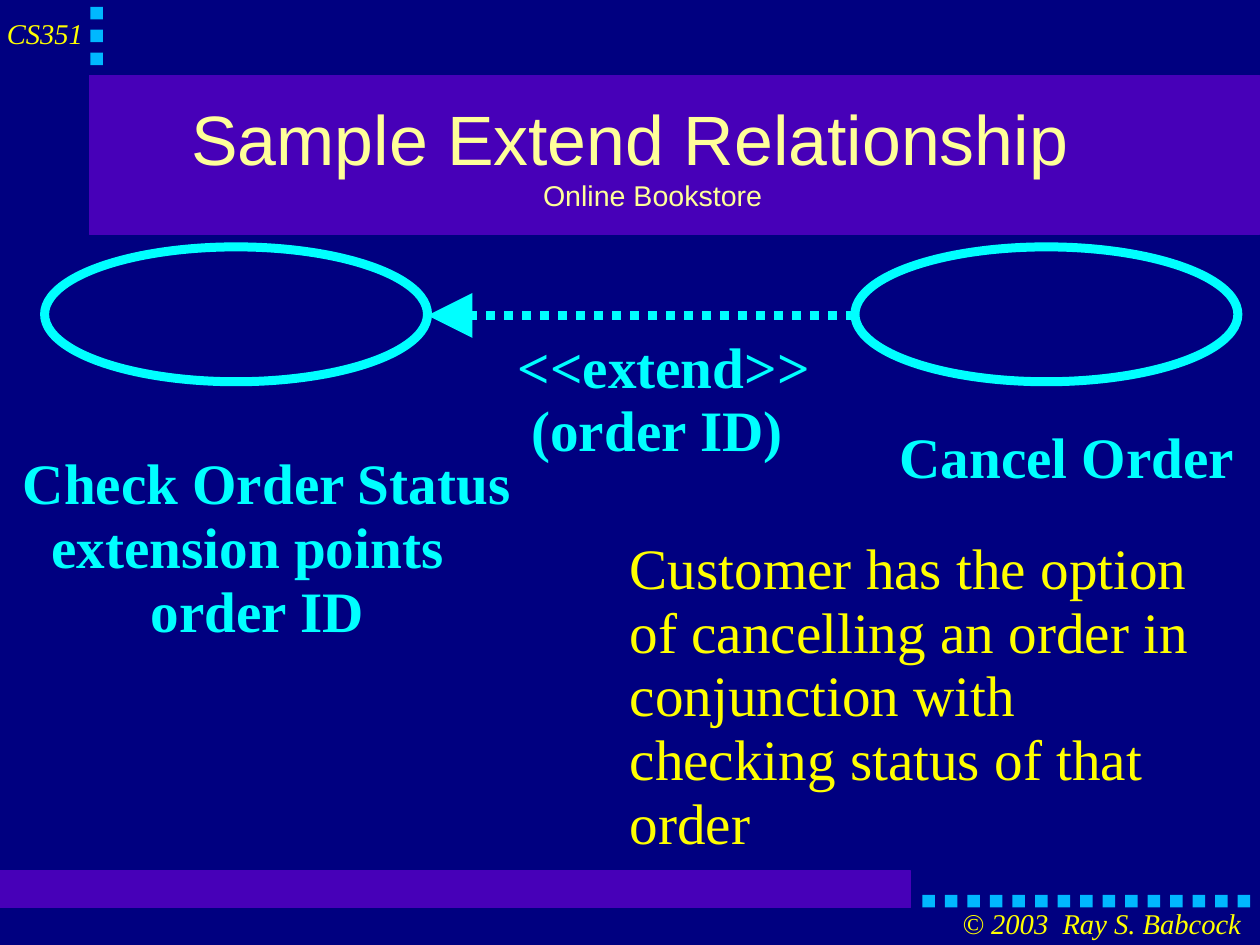
import pptx
import pptx.dml.color
import pptx.enum.dml
import pptx.enum.shapes
import pptx.enum.text
import pptx.oxml
import pptx.oxml.ns
import pptx.util

Inches = pptx.util.Inches
Pt = pptx.util.Pt
SHAPE = pptx.enum.shapes.MSO_SHAPE

# The page is metric: 28 by 21 centimetres
PAGE_WIDTH = Inches(28 / 2.54)
PAGE_HEIGHT = Inches(21 / 2.54)

COLORS = {
    "background": "000080",
    "band": "4700B8",
    "square": "00B8FF",
    "title": "FFFF99",
    "diagram": "00FFFF",
    "note": "FFFF00",
}

TITLE = "Sample Extend Relationship\vOnline Bookstore"
TITLE_SIZES = [44, 18]
TITLE_INDENT = 0.39
LINE_SPACING = 0.93

BANDS = [(0.78, 0.66, 10.24, 1.39), (0, 7.62, 7.97, 0.32)]

SQUARE = 0.11
COLUMN_PITCH = 0.2
ROW_PITCH = 0.197
SQUARES = [(0.79, 0.06 + COLUMN_PITCH * i) for i in range(3)]
SQUARES += [(8.07 + ROW_PITCH * i, 7.83) for i in range(15)]

USE_CASES = [(0.39, 2.16, 3.35, 1.18), (7.48, 2.16, 3.35, 1.18)]
ARROW_Y = 2.76
STROKE = 5.67

# Place, lines as (text, left indent), size, colour, bold, italic
TEXTS = [
    ((0.06, 0.17, 0.73, 0.28), [("CS351", 0)], 18, "note", False, True),
    ((8.42, 7.95, 2.5, 0.28), [("© 2003  Ray S. Babcock", 0)],
     18, "note", False, True),
    ((0.2, 3.97, 4.33, 1.67),
     [("Check Order Status", 0), ("extension points", 0.25), ("order ID", 1.12)],
     36, "diagram", True, False),
    ((7.87, 3.74, 2.95, 0.56), [("Cancel Order", 0)],
     36, "diagram", True, False),
    ((4.53, 2.95, 2.76, 1.12), [("<<extend>>", 0), ("(order ID)", 0.12)],
     36, "diagram", True, False),
    ((5.51, 4.71, 4.92, 2.79),
     [("Customer has the option of cancelling an order in conjunction "
       "with checking status of that order", 0)],
     36, "note", False, False),
]


def rgb(name):
    return pptx.dml.color.RGBColor.from_string(COLORS[name])


def inches(place):
    return [Inches(length) for length in place]


def clear_margins(frame):
    frame.word_wrap = True
    frame.margin_left = frame.margin_right = 0
    frame.margin_top = frame.margin_bottom = 0


def set_layout(para, left, first=0):
    """Set the line spacing and the indents of a paragraph."""
    para.line_spacing = LINE_SPACING
    properties = para._p.get_or_add_pPr()
    properties.set("marL", str(Inches(left)))
    properties.set("indent", str(Inches(first)))


def style(font, name, size, color, bold=False, italic=False):
    font.name = name
    font.size = Pt(size)
    font.bold = bold
    font.italic = italic
    font.color.rgb = rgb(color)


def add_block(page, kind, place, fill=None, line=None, width=0.75):
    block = page.shapes.add_shape(kind, *inches(place))
    block.shadow.inherit = False
    if fill:
        block.fill.solid()
        block.fill.fore_color.rgb = rgb(fill)
    else:
        block.fill.background()
    if line:
        block.line.color.rgb = rgb(line)
        block.line.width = Pt(width)
    else:
        block.line.fill.background()
    return block


def add_text(page, place, lines, size, color, bold, italic):
    box = page.shapes.add_textbox(*inches(place))
    clear_margins(box.text_frame)
    box.text_frame.text = "\n".join(text for text, indent in lines)
    for para, (text, indent) in zip(box.text_frame.paragraphs, lines):
        set_layout(para, indent)
        for span in para.runs:
            style(span.font, "Times New Roman", size, color, bold, italic)


def add_title(page, band):
    """Fill the title placeholder and bring it in front of the band."""
    title = page.shapes.title
    band.element.addnext(title.element)
    title.left, title.top, title.width, title.height = inches(
        (0.81, 0.69, 9.41, 1.38))
    frame = title.text_frame
    frame.text = TITLE
    clear_margins(frame)
    frame.auto_size = pptx.enum.text.MSO_AUTO_SIZE.NONE
    frame.vertical_anchor = pptx.enum.text.MSO_ANCHOR.MIDDLE
    para = frame.paragraphs[0]
    para.alignment = pptx.enum.text.PP_ALIGN.CENTER
    set_layout(para, TITLE_INDENT, -TITLE_INDENT)
    for span, size in zip(para.runs, TITLE_SIZES):
        style(span.font, "Arial", size, "title")


def add_extend_arrow(page):
    base, extension = USE_CASES
    arrow = page.shapes.add_connector(
        pptx.enum.shapes.MSO_CONNECTOR.STRAIGHT,
        *inches((extension[0], ARROW_Y, base[0] + base[2], ARROW_Y)))
    arrow.line.color.rgb = rgb("diagram")
    arrow.line.width = Pt(STROKE)
    arrow.line.dash_style = pptx.enum.dml.MSO_LINE.ROUND_DOT
    namespace = pptx.oxml.ns.nsdecls("a")
    arrow.line._get_or_add_ln().append(pptx.oxml.parse_xml(
        f'<a:tailEnd {namespace} type="triangle" w="lg" len="lg"/>'))
    arrow.element.spPr.append(pptx.oxml.parse_xml(
        f'<a:effectLst {namespace}/>'))


def main():
    deck = pptx.Presentation()
    deck.slide_width = PAGE_WIDTH
    deck.slide_height = PAGE_HEIGHT
    page = deck.slides.add_slide(deck.slide_layouts[5])
    page.background.fill.solid()
    page.background.fill.fore_color.rgb = rgb("background")

    bands = [add_block(page, SHAPE.RECTANGLE, place, "band", "band")
             for place in BANDS]
    for left, top in SQUARES:
        add_block(page, SHAPE.RECTANGLE, (left, top, SQUARE, SQUARE), "square")
    add_title(page, bands[-1])
    for place in USE_CASES:
        add_block(page, SHAPE.OVAL, place, line="diagram", width=STROKE)
    add_extend_arrow(page)
    for entry in TEXTS:
        add_text(page, *entry)
    deck.save("out.pptx")


if __name__ == "__main__":
    main()
